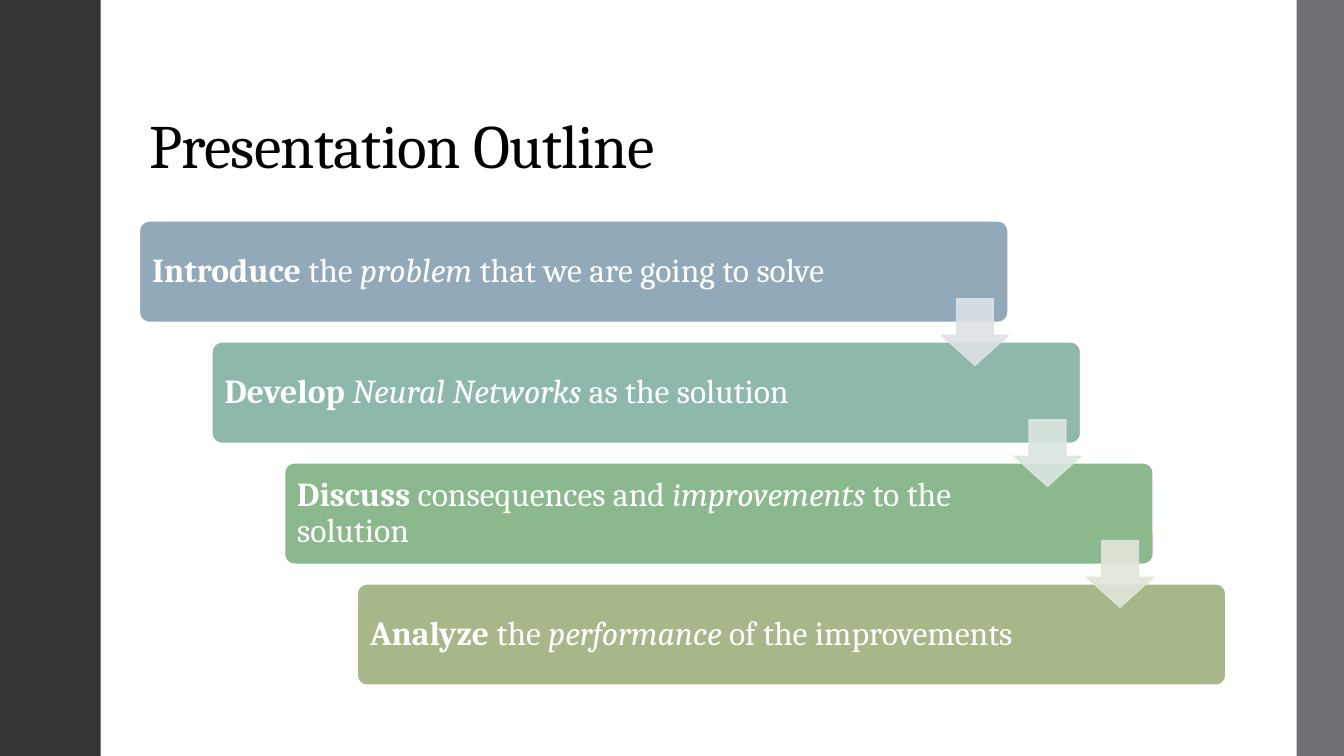
"""Build the presentation outline slide: a staircase of four linked steps."""
from dataclasses import dataclass

from lxml.etree import SubElement
from pptx import Presentation
from pptx.dml.color import RGBColor
from pptx.enum.shapes import MSO_SHAPE as Preset
from pptx.enum.text import MSO_ANCHOR as Anchor, MSO_AUTO_SIZE as AutoSize, PP_ALIGN as Align
from pptx.oxml.ns import qn
from pptx.util import Inches, Pt


@dataclass(frozen=True)
class Theme:
    """Colours and type sizes of the slide."""
    font: str = "Cambria"
    title_size: float = 44
    step_size: float = 24
    line_spacing: float = 0.9
    ink: str = "000000"
    paper: str = "FFFFFF"
    left_panel: str = "353537"
    right_panel: str = "6F6F74"
    steps: tuple = ("92A9B9", "8FB8AD", "8CB88E", "A7B789")
    arrows: tuple = ("DCE2E6", "DBE6DF", "E1E6DA")
    arrow_opacity: int = 90


@dataclass(frozen=True)
class Grid:
    """Staircase grid in inches: each step moves one column right and one row down."""
    width: float = 13.33
    height: float = 7.5
    left: float = 1.38
    top: float = 2.19
    column: float = 0.72
    row: float = 1.2
    bar_width: float = 8.62
    bar_height: float = 1.01
    arrow: float = 0.66

    def bar(self, index):
        """Return the box of a step bar."""
        return (self.left + index * self.column, self.top + index * self.row,
                self.bar_width, self.bar_height)

    def arrow_box(self, index):
        """Return the box of the arrow that leaves a step at its lower right corner."""
        left, top, width, height = self.bar(index)
        gap = self.row - height
        middle = top + height + gap / 2
        return left + width - self.arrow, middle - self.arrow / 2, self.arrow, self.arrow


THEME = Theme()
GRID = Grid()
PLAIN, BOLD, ITALIC = "plain", "bold", "italic"
STEPS = (
    (("Introduce ", BOLD), ("the ", PLAIN), ("problem", ITALIC),
     (" that we are going to solve", PLAIN)),
    (("Develop ", BOLD), ("Neural Networks ", ITALIC), ("as the solution", PLAIN)),
    (("Discuss", BOLD), (" consequences and ", PLAIN), ("improvements", ITALIC),
     (" to the solution", PLAIN)),
    (("Analyze", BOLD), (" the ", PLAIN), ("performance", ITALIC),
     (" of the improvements", PLAIN)),
)


def format_run(run, size, color):
    """Give a run the theme font, a size and a colour."""
    run.font.name = THEME.font
    run.font.size = Pt(size)
    run.font.color.rgb = RGBColor.from_string(color)


def add_block(slide, preset, box, fill, line=None, line_width=0):
    """Add a flat preset shape with an optional outline."""
    shape = slide.shapes.add_shape(preset, *map(Inches, box))
    shape.shadow.inherit = False
    shape.fill.solid()
    shape.fill.fore_color.rgb = RGBColor.from_string(fill)
    if line:
        shape.line.color.rgb = RGBColor.from_string(line)
        shape.line.width = Pt(line_width)
    else:
        shape.line.fill.background()
    return shape


def set_title(slide, text):
    """Place and format the title placeholder."""
    title = slide.shapes.title
    title.left, title.top, title.width, title.height = map(Inches, (GRID.left, 0.4, 10.78, 1.45))
    frame = title.text_frame
    frame.text = text
    frame.word_wrap = True
    frame.auto_size = AutoSize.NONE
    frame.vertical_anchor = Anchor.BOTTOM
    paragraph = frame.paragraphs[0]
    paragraph.alignment = Align.LEFT
    paragraph.line_spacing = THEME.line_spacing
    run = paragraph.runs[0]
    format_run(run, THEME.title_size, THEME.ink)
    run.font._element.set("spc", "-50")


def add_step(slide, index, parts):
    """Add a step bar with its mixed bold and italic wording."""
    bar = add_block(slide, Preset.ROUNDED_RECTANGLE, GRID.bar(index),
                    THEME.steps[index], THEME.paper, 1.35)
    bar.adjustments[0] = 0.1
    frame = bar.text_frame
    frame.word_wrap = True
    frame.vertical_anchor = Anchor.MIDDLE
    frame.margin_left = frame.margin_top = frame.margin_bottom = Inches(0.1)
    frame.margin_right = Inches(1.47)
    paragraph = frame.paragraphs[0]
    paragraph.alignment = Align.LEFT
    paragraph.line_spacing = THEME.line_spacing
    for text, style in parts:
        run = paragraph.add_run()
        run.text = text
        format_run(run, THEME.step_size, THEME.paper)
        run.font.bold = style == BOLD
        run.font.italic = style == ITALIC


def add_arrow(slide, index):
    """Add the translucent arrow from one step to the next."""
    color = THEME.arrows[index]
    arrow = add_block(slide, Preset.DOWN_ARROW, GRID.arrow_box(index), color, color, 1.1)
    arrow.adjustments[0], arrow.adjustments[1] = 0.55, 0.45
    for color_element in arrow._element.spPr.iter(qn("a:srgbClr")):
        SubElement(color_element, qn("a:alpha"), val=str(THEME.arrow_opacity * 1000))


def main():
    """Build and save the slide."""
    presentation = Presentation()
    presentation.slide_width = Inches(GRID.width)
    presentation.slide_height = Inches(GRID.height)
    slide = presentation.slides.add_slide(presentation.slide_layouts[5])
    set_title(slide, "Presentation Outline")
    add_block(slide, Preset.RECTANGLE, (0, 0, 1, GRID.height), THEME.left_panel)
    add_block(slide, Preset.RECTANGLE, (12.86, 0, GRID.width - 12.86, GRID.height),
              THEME.right_panel)
    for index, parts in enumerate(STEPS):
        add_step(slide, index, parts)
    for index in range(len(STEPS) - 1):
        add_arrow(slide, index)
    presentation.save("out.pptx")


if __name__ == "__main__":
    main()
